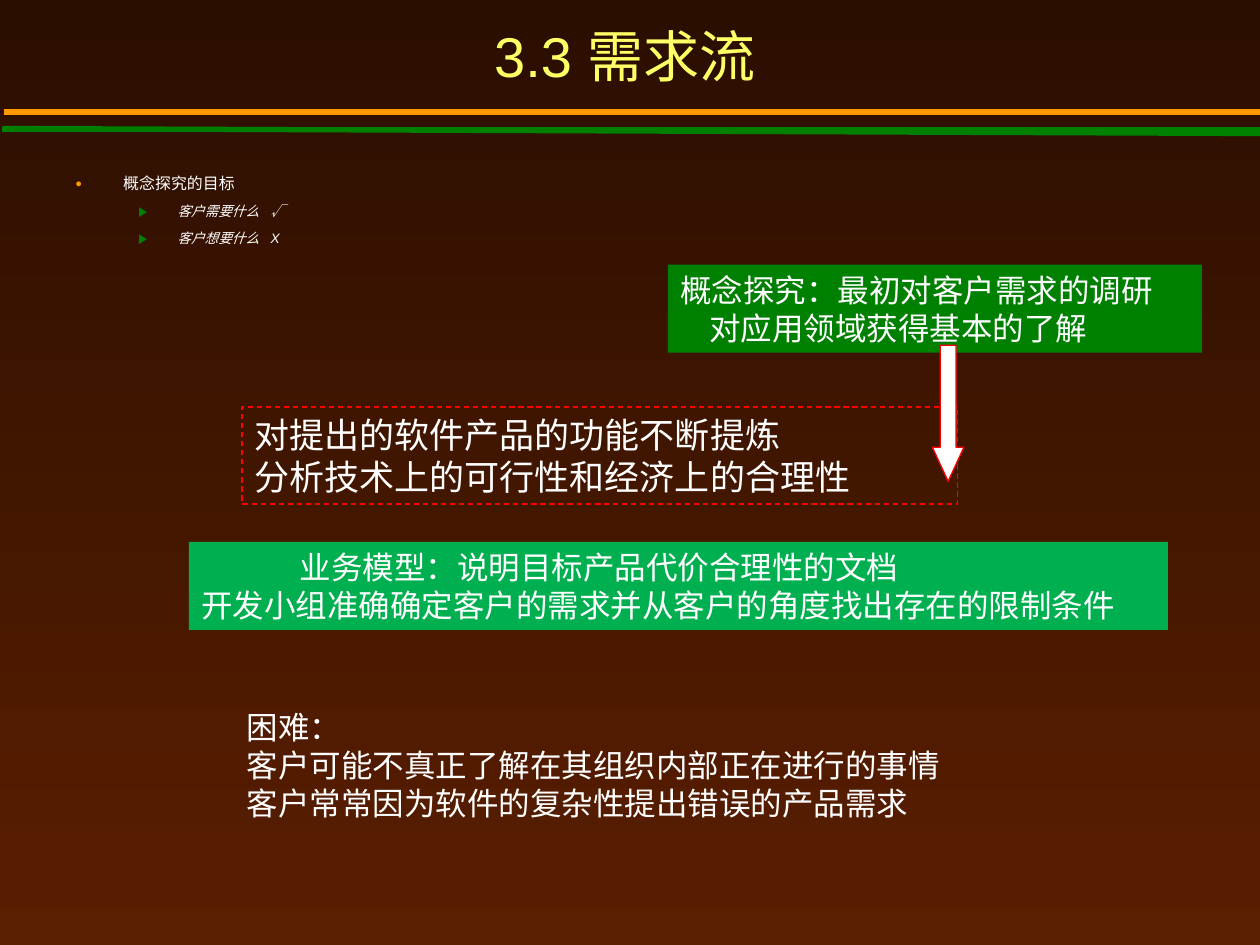
from dataclasses import dataclass
from typing import NamedTuple

from lxml.etree import SubElement
from pptx import Presentation
from pptx.dml.color import RGBColor
from pptx.enum.dml import MSO_LINE
from pptx.enum.shapes import MSO_CONNECTOR, MSO_SHAPE
from pptx.enum.text import MSO_ANCHOR, PP_ALIGN
from pptx.oxml.ns import qn
from pptx.util import Inches, Pt


@dataclass(frozen=True)
class Theme:
    font: str = "Arial"
    top: str = "2A0E00"
    base: str = "5A1E00"
    title: str = "FFFF66"
    text: str = "FFFFFF"
    gold: str = "FF9900"
    green: str = "008000"
    bright: str = "00B050"
    red: str = "FF0000"
    head: float = 32
    large: float = 20
    body: float = 18
    item: float = 9.1
    sub: float = 7.8
    rule: float = 3
    thin: float = 0.75


class Box(NamedTuple):
    left: float
    top: float
    width: float
    height: float


class Rule(NamedTuple):
    start: float
    left: float
    end: float
    color: str


class Line(NamedTuple):
    text: str
    indent: float = 0


class Panel(NamedTuple):
    box: Box
    lines: list[Line]
    size: float
    fill: str | None = None
    dash: str | None = None


class Bullet(NamedTuple):
    mark: str
    color: str
    scale: int
    margin: float
    hang: float
    before: float


THEME = Theme()
RULES = [
    Rule(1.03, 0.02, 1.03, THEME.green),
    Rule(1.02, 0.02, 1.06, THEME.green),
    Rule(0.89, 0.03, 0.89, THEME.gold),
]
GOAL = Bullet("●", THEME.gold, 70, 0.38, 0.38, 0)
WISH = Bullet("▶", THEME.green, 100, 0.81, 0.31, 6)
TAB = 1.55
PANELS = [
    Panel(Box(1.92, 3.23, 5.68, 0.77),
          [Line("对提出的软件产品的功能不断提炼"),
           Line("分析技术上的可行性和经济上的合理性")],
          THEME.large, dash=THEME.red),
    Panel(Box(1.5, 4.3, 7.77, 0.7),
          [Line("业务模型：说明目标产品代价合理性的文档", 0.78),
           Line("开发小组准确确定客户的需求并从客户的角度找出存在的限制条件")],
          THEME.body, fill=THEME.bright),
    Panel(Box(5.3, 2.1, 4.24, 0.7),
          [Line("概念探究：最初对客户需求的调研"),
           Line("对应用领域获得基本的了解", 0.23)],
          THEME.body, fill=THEME.green),
]
ISSUES = Panel(Box(1.86, 5.57, 6.45, 1),
               [Line("困难："),
                Line("客户可能不真正了解在其组织内部正在进行的事情"),
                Line("客户常常因为软件的复杂性提出错误的产品需求")],
               THEME.body)


def rgb(code: str) -> RGBColor:
    return RGBColor.from_string(code)


def place(box: Box) -> list[int]:
    return [Inches(side) for side in box]


def write(frame, text: str, *, size: float, color: str = THEME.text,
          italic: bool = False, align=PP_ALIGN.LEFT, indent: float = 0,
          bullet: Bullet | None = None) -> None:
    """Fill the empty first paragraph, or add a new one."""
    frame.word_wrap = True
    para = frame.paragraphs[0]
    if para.runs:
        para = frame.add_paragraph()
    props = para._p.get_or_add_pPr()
    if bullet:
        mark(props, bullet)
    elif indent:
        props.set("marL", str(Inches(indent)))
    para.alignment = align
    if bullet and bullet.before:
        para.space_before = Pt(bullet.before)
    run = para.add_run()
    run.text = text
    font = run.font
    font.name, font.size, font.italic = THEME.font, Pt(size), italic
    font.color.rgb = rgb(color)


def mark(props, bullet: Bullet) -> None:
    """Add the hanging indent, the bullet and the tab stop."""
    props.set("marL", str(Inches(bullet.margin)))
    props.set("indent", str(-Inches(bullet.hang)))
    tint = SubElement(props, qn("a:buClr"))
    SubElement(tint, qn("a:srgbClr"), val=bullet.color)
    SubElement(props, qn("a:buSzPct"), val=str(bullet.scale * 1000))
    SubElement(props, qn("a:buFont"), typeface=THEME.font)
    SubElement(props, qn("a:buChar"), char=bullet.mark)
    tabs = SubElement(props, qn("a:tabLst"))
    SubElement(tabs, qn("a:tab"), pos=str(Inches(TAB)), algn="l")


def draw_rule(slide, rule: Rule) -> None:
    line = slide.shapes.add_connector(
        MSO_CONNECTOR.STRAIGHT, Inches(rule.left), Inches(rule.start),
        Inches(rule.left + 10), Inches(rule.end))
    line.line.color.rgb = rgb(rule.color)
    line.line.width = Pt(THEME.rule)
    SubElement(line._element.spPr, qn("a:effectLst"))


def add_shape(slide, kind, box: Box, fill: str | None, edge: str | None):
    shape = slide.shapes.add_shape(kind, *place(box))
    shape.shadow.inherit = False
    if fill:
        shape.fill.solid()
        shape.fill.fore_color.rgb = rgb(fill)
    else:
        shape.fill.background()
    if edge:
        shape.line.color.rgb = rgb(edge)
        shape.line.width = Pt(THEME.thin)
    else:
        shape.line.fill.background()
    return shape


def write_lines(frame, panel: Panel) -> None:
    for line in panel.lines:
        write(frame, line.text, size=panel.size, indent=line.indent)


def draw_panel(slide, panel: Panel) -> None:
    shape = add_shape(slide, MSO_SHAPE.RECTANGLE, panel.box, panel.fill, panel.dash)
    if panel.dash:
        shape.line.dash_style = MSO_LINE.DASH
    shape.text_frame.vertical_anchor = MSO_ANCHOR.TOP
    write_lines(shape.text_frame, panel)


def add_text(slide, box: Box):
    return slide.shapes.add_textbox(*place(box)).text_frame


def paint(slide) -> None:
    fill = slide.background.fill
    fill.gradient()
    fill.gradient_angle = 270
    for stop, color in zip(fill.gradient_stops, (THEME.top, THEME.base)):
        stop.color.rgb = rgb(color)


def main() -> None:
    deck = Presentation()
    deck.slide_width, deck.slide_height = Inches(10), Inches(7.5)
    slide = deck.slides.add_slide(deck.slide_layouts[6])
    paint(slide)
    for rule in RULES:
        draw_rule(slide, rule)

    title = add_text(slide, Box(0, 0.25, 9.92, 0.5))
    title.vertical_anchor = MSO_ANCHOR.BOTTOM
    write(title, "3.3 需求流", size=THEME.head, color=THEME.title,
          align=PP_ALIGN.CENTER)

    goals = add_text(slide, Box(0.5, 1.33, 9.5, 0.67))
    write(goals, "概念探究的目标", size=THEME.item, bullet=GOAL)
    for wish in ("客户需要什么\t√", "客户想要什么\tX"):
        write(goals, wish, size=THEME.sub, italic=True, bullet=WISH)

    for panel in PANELS:
        draw_panel(slide, panel)
    arrow = add_shape(slide, MSO_SHAPE.DOWN_ARROW, Box(7.4, 2.74, 0.25, 1.08),
                      THEME.text, THEME.red)
    arrow.adjustments[0], arrow.adjustments[1] = 0.5, 1.08
    write_lines(add_text(slide, ISSUES.box), ISSUES)
    deck.save("out.pptx")


if __name__ == "__main__":
    main()
